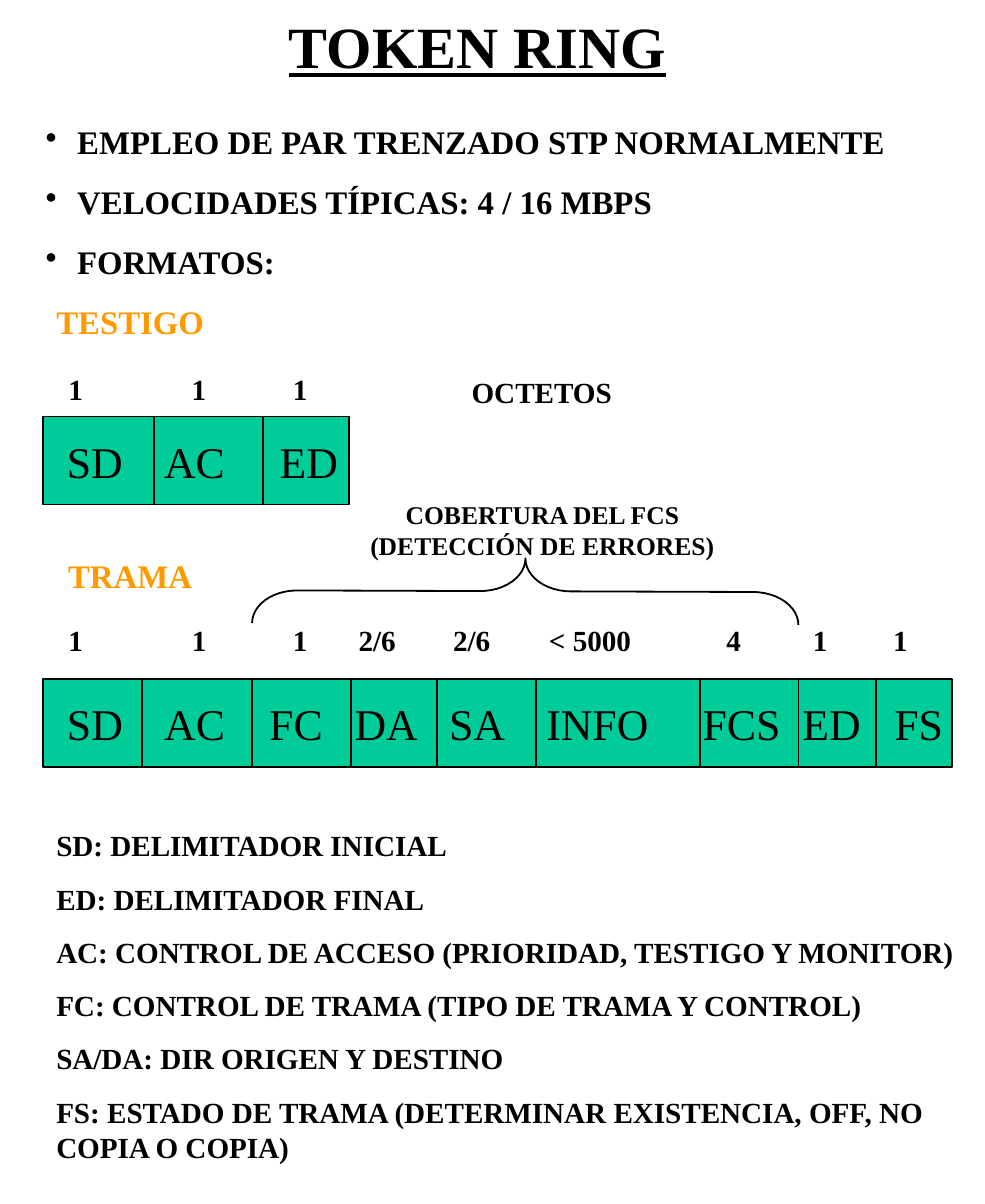
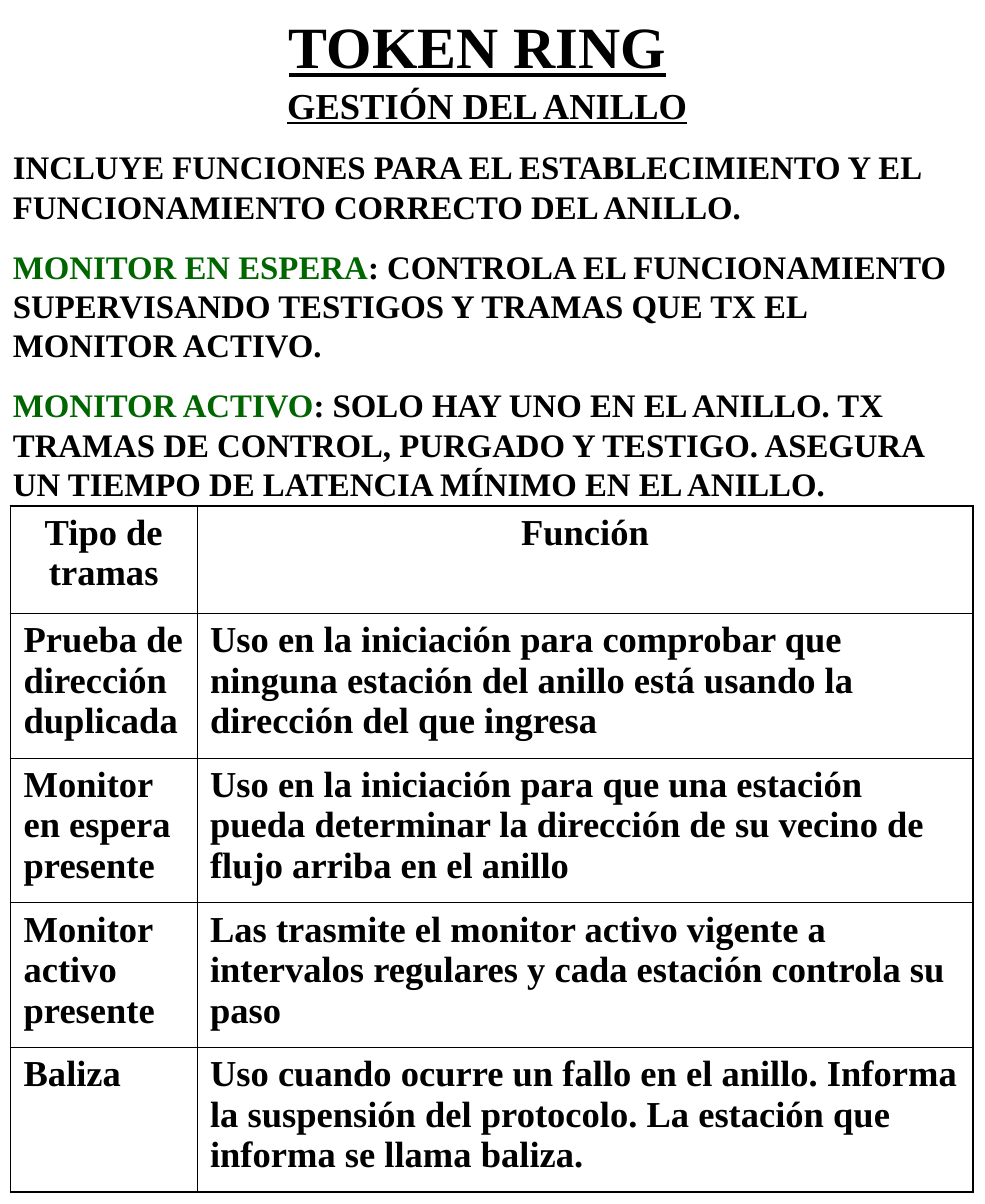
from pptx import Presentation
from pptx.dml.color import RGBColor
from pptx.enum.shapes import MSO_CONNECTOR, MSO_SHAPE
from pptx.enum.text import MSO_ANCHOR, MSO_AUTO_SIZE, PP_ALIGN
from pptx.oxml import parse_xml
from pptx.oxml.ns import nsdecls, qn
from pptx.util import Inches, Pt
from lxml import etree

BLACK = RGBColor(0x00, 0x00, 0x00)
GREEN = RGBColor(0x00, 0x66, 0x00)
ORANGE = RGBColor(0xFF, 0x99, 0x00)
TEAL = RGBColor(0x00, 0xCC, 0x99)
FONT = "Times New Roman"
FIELD_HEIGHT = 0.67
OUTER_BORDER, INNER_BORDER = 1.08, 0.45

# Content
TITLE = "TOKEN RING"
FEATURES = [
    "EMPLEO DE PAR TRENZADO STP NORMALMENTE",
    "VELOCIDADES TÍPICAS: 4 / 16 MBPS",
    "FORMATOS:",
]
# Each format: name and its place, tops of counts and fields, right edge,
# and fields as (label, octets, left edge, label left, octets left)
FORMATS = [
    ("TESTIGO", (0.33, 2.25), 2.78, 3.17, 2.66, [
        ("SD", "1", 0.33, 0.51, 0.52),
        ("AC", "1", 1.17, 1.25, 1.46),
        ("ED", "1", 2.00, 2.13, 2.23),
    ]),
    ("TRAMA", (0.42, 4.18), 4.69, 5.17, 7.25, [
        ("SD", "1", 0.33, 0.51, 0.52),
        ("AC", "1", 1.08, 1.25, 1.46),
        ("FC", "1", 1.92, 2.05, 2.23),
        ("DA", "2/6", 2.67, 2.70, 2.73),
        ("SA", "2/6", 3.33, 3.42, 3.45),
        ("INFO", "< 5000", 4.08, 4.16, 4.18),
        ("FCS", "4", 5.33, 5.35, 5.53),
        ("ED", "1", 6.08, 6.11, 6.19),
        ("FS", "1", 6.67, 6.81, 6.80),
    ]),
]
COVERAGE = "COBERTURA DEL FCS (DETECCIÓN DE ERRORES)"
LEGEND = [
    "SD: DELIMITADOR INICIAL",
    "ED: DELIMITADOR FINAL",
    "AC: CONTROL DE ACCESO (PRIORIDAD, TESTIGO Y MONITOR)",
    "FC: CONTROL DE TRAMA (TIPO DE TRAMA Y CONTROL)",
    "SA/DA: DIR ORIGEN Y DESTINO",
    "FS: ESTADO DE TRAMA (DETERMINAR EXISTENCIA, OFF, NO COPIA O COPIA)",
]
RING_HEADING = "GESTIÓN DEL ANILLO"
# Each paragraph: highlighted start and the rest
RING_TEXT = [
    ("", "INCLUYE FUNCIONES PARA EL ESTABLECIMIENTO Y EL FUNCIONAMIENTO "
         "CORRECTO DEL ANILLO."),
    ("MONITOR EN ESPERA", ": CONTROLA EL FUNCIONAMIENTO SUPERVISANDO TESTIGOS "
                          "Y TRAMAS QUE TX EL MONITOR ACTIVO."),
    ("MONITOR ACTIVO", ": SOLO HAY UNO EN EL ANILLO. TX TRAMAS DE CONTROL, "
                       "PURGADO Y TESTIGO. ASEGURA UN TIEMPO DE LATENCIA "
                       "MÍNIMO EN EL ANILLO."),
]
FRAME_TYPES = [
    ("Tipo de tramas", "Función"),
    ("Prueba de dirección duplicada",
     "Uso en la iniciación para comprobar que ninguna estación del anillo "
     "está usando la dirección del que ingresa"),
    ("Monitor en espera presente",
     "Uso en la iniciación para que una estación pueda determinar la "
     "dirección de su vecino de flujo arriba en el anillo"),
    ("Monitor activo presente",
     "Las trasmite el monitor activo vigente a intervalos regulares y cada "
     "estación controla su paso"),
    ("Baliza",
     "Uso cuando ocurre un fallo en el anillo. Informa la suspensión del "
     "protocolo. La estación que informa se llama baliza."),
]
COLUMN_WIDTHS = [1.42, 5.91]
ROW_HEIGHTS = [0.82] + [1.1] * 4


# Text helpers
def format_runs(paragraph, size, color=BLACK, bold=True, underline=False):
    for run in paragraph.runs:
        run.font.name = FONT
        run.font.size = Pt(size)
        run.font.bold = bold
        run.font.underline = underline
        run.font.color.rgb = color


def add_text(slide, left, top, width, height, lines, size, color=BLACK,
             align=PP_ALIGN.LEFT, space=0):
    shape = slide.shapes.add_textbox(
        Inches(left), Inches(top), Inches(width), Inches(height))
    text_frame = shape.text_frame
    text_frame.word_wrap = True
    text_frame.text = "\n".join(lines)
    for index, paragraph in enumerate(text_frame.paragraphs):
        paragraph.alignment = align
        paragraph.space_before = Pt(space if index else 0)
        format_runs(paragraph, size, color)
    return text_frame


def add_bullet(paragraph, indent=0.24):
    properties = paragraph._p.get_or_add_pPr()
    properties.set("marL", str(Inches(indent)))
    properties.set("indent", str(-Inches(indent)))
    etree.SubElement(properties, qn("a:buChar")).set("char", "•")


def set_tabbed(text_frame, left, texts, positions):
    """Place each text at its own distance from the slide's left edge."""
    text_frame.word_wrap = True
    text_frame.margin_left = Inches(positions[0] - left)
    text_frame.margin_right = 0
    text_frame.text = "\t".join(texts)
    paragraph = text_frame.paragraphs[0]
    paragraph.alignment = PP_ALIGN.LEFT
    tabs = etree.SubElement(paragraph._p.get_or_add_pPr(), qn("a:tabLst"))
    for position in positions[1:]:
        tab = etree.SubElement(tabs, qn("a:tab"))
        tab.set("pos", str(Inches(position - positions[0])))
        tab.set("algn", "l")
    return paragraph


def add_titled_slide(presentation):
    slide = presentation.slides.add_slide(presentation.slide_layouts[5])
    title = slide.shapes.title
    title.left, title.top = Inches(0), Inches(-0.42)
    title.width, title.height = Inches(7.27), Inches(1.53)
    text_frame = title.text_frame
    text_frame.text = TITLE
    text_frame.auto_size = MSO_AUTO_SIZE.NONE
    text_frame.vertical_anchor = MSO_ANCHOR.MIDDLE
    paragraph = text_frame.paragraphs[0]
    paragraph.alignment = PP_ALIGN.CENTER
    format_runs(paragraph, 32, underline=True)
    return slide


# Drawing helpers
def outline(shape):
    shape.line.color.rgb = BLACK
    shape.line.width = Pt(1)


def add_divider(slide, x, top):
    line = slide.shapes.add_connector(
        MSO_CONNECTOR.STRAIGHT, Inches(x), Inches(top),
        Inches(x), Inches(top + FIELD_HEIGHT))
    outline(line)
    etree.SubElement(line._element.spPr, qn("a:effectLst"))


def add_format(slide, name, name_place, counts_top, top, right, fields):
    labels, octets, edges, label_lefts, octet_lefts = zip(*fields)
    left = edges[0]
    add_text(slide, *name_place, 3.25, 0.4, [name], 18, ORANGE)

    counts = slide.shapes.add_textbox(
        Inches(left), Inches(counts_top), Inches(right - left), Inches(0.37))
    format_runs(set_tabbed(counts.text_frame, left, octets, octet_lefts), 16)

    bar = slide.shapes.add_shape(
        MSO_SHAPE.RECTANGLE, Inches(left), Inches(top),
        Inches(right - left), Inches(FIELD_HEIGHT))
    bar.shadow.inherit = False
    bar.fill.solid()
    bar.fill.fore_color.rgb = TEAL
    outline(bar)
    bar.text_frame.vertical_anchor = MSO_ANCHOR.MIDDLE
    format_runs(set_tabbed(bar.text_frame, left, labels, label_lefts),
                24, bold=False)
    for edge in edges[1:]:
        add_divider(slide, edge, top)


def set_borders(cell, widths):
    """Set the left, right, top and bottom border widths, in points."""
    properties = cell._tc.get_or_add_tcPr()
    for index, (side, width) in enumerate(zip("LRTB", widths)):
        properties.insert(index, parse_xml(
            f'<a:ln{side} {nsdecls("a")} w="{Pt(width)}"><a:solidFill>'
            f'<a:srgbClr val="{BLACK}"/></a:solidFill></a:ln{side}>'))


# Slides
def build_formats_slide(presentation):
    slide = add_titled_slide(presentation)
    features = add_text(slide, 0.25, 0.88, 7.17, 1.32, FEATURES, 18, space=11.2)
    for paragraph in features.paragraphs:
        add_bullet(paragraph)
    for frame_format in FORMATS:
        add_format(slide, *frame_format)
    add_text(slide, 3.25, 2.8, 1.75, 0.37, ["OCTETOS"], 16,
             align=PP_ALIGN.CENTER)

    # Fields covered by the check sequence
    add_text(slide, 2.67, 3.75, 2.92, 0.57, [COVERAGE], 14,
             align=PP_ALIGN.CENTER)
    brace = slide.shapes.add_shape(
        MSO_SHAPE.LEFT_BRACE, Inches(3.75), Inches(2.42),
        Inches(0.5), Inches(4.16))
    brace.rotation = 90.2
    brace.adjustments[0] = 0.69
    brace.shadow.inherit = False
    brace.fill.background()
    outline(brace)

    add_text(slide, 0.33, 6.25, 7.08, 2.66, LEGEND, 16, space=10)


def build_ring_slide(presentation):
    slide = add_titled_slide(presentation)
    text_frame = add_text(slide, 0, 0.58, 7.42, 3.31, [RING_HEADING], 20,
                          align=PP_ALIGN.CENTER)
    format_runs(text_frame.paragraphs[0], 20, underline=True)
    for highlight, rest in RING_TEXT:
        paragraph = text_frame.add_paragraph()
        paragraph.space_before = Pt(11.2)
        if highlight:
            paragraph.add_run().text = highlight
        paragraph.add_run().text = rest
        format_runs(paragraph, 18)
        if highlight:
            paragraph.runs[0].font.color.rgb = GREEN

    # Table of frame types
    last_row, last_column = len(ROW_HEIGHTS) - 1, len(COLUMN_WIDTHS) - 1
    table = slide.shapes.add_table(
        len(ROW_HEIGHTS), len(COLUMN_WIDTHS), Inches(0.08), Inches(3.85),
        Inches(sum(COLUMN_WIDTHS)), Inches(sum(ROW_HEIGHTS))).table
    table.first_row = table.horz_banding = False
    for column, width in zip(table.columns, COLUMN_WIDTHS):
        column.width = Inches(width)
    for row_index, texts in enumerate(FRAME_TYPES):
        table.rows[row_index].height = Inches(ROW_HEIGHTS[row_index])
        for column_index, text in enumerate(texts):
            cell = table.cell(row_index, column_index)
            cell.text_frame.text = text
            cell.fill.background()
            paragraph = cell.text_frame.paragraphs[0]
            paragraph.alignment = PP_ALIGN.LEFT if row_index else PP_ALIGN.CENTER
            format_runs(paragraph, 20)
            on_edge = (column_index == 0, column_index == last_column,
                       row_index == 0, row_index == last_row)
            set_borders(cell, [OUTER_BORDER if edge else INNER_BORDER
                               for edge in on_edge])


def main():
    presentation = Presentation()
    presentation.slide_width = Inches(7.5)
    presentation.slide_height = Pt(659.75)
    # The page is no longer a 4:3 screen
    presentation.element.find(qn("p:sldSz")).attrib.pop("type", None)
    build_formats_slide(presentation)
    build_ring_slide(presentation)
    presentation.save("out.pptx")


if __name__ == "__main__":
    main()
